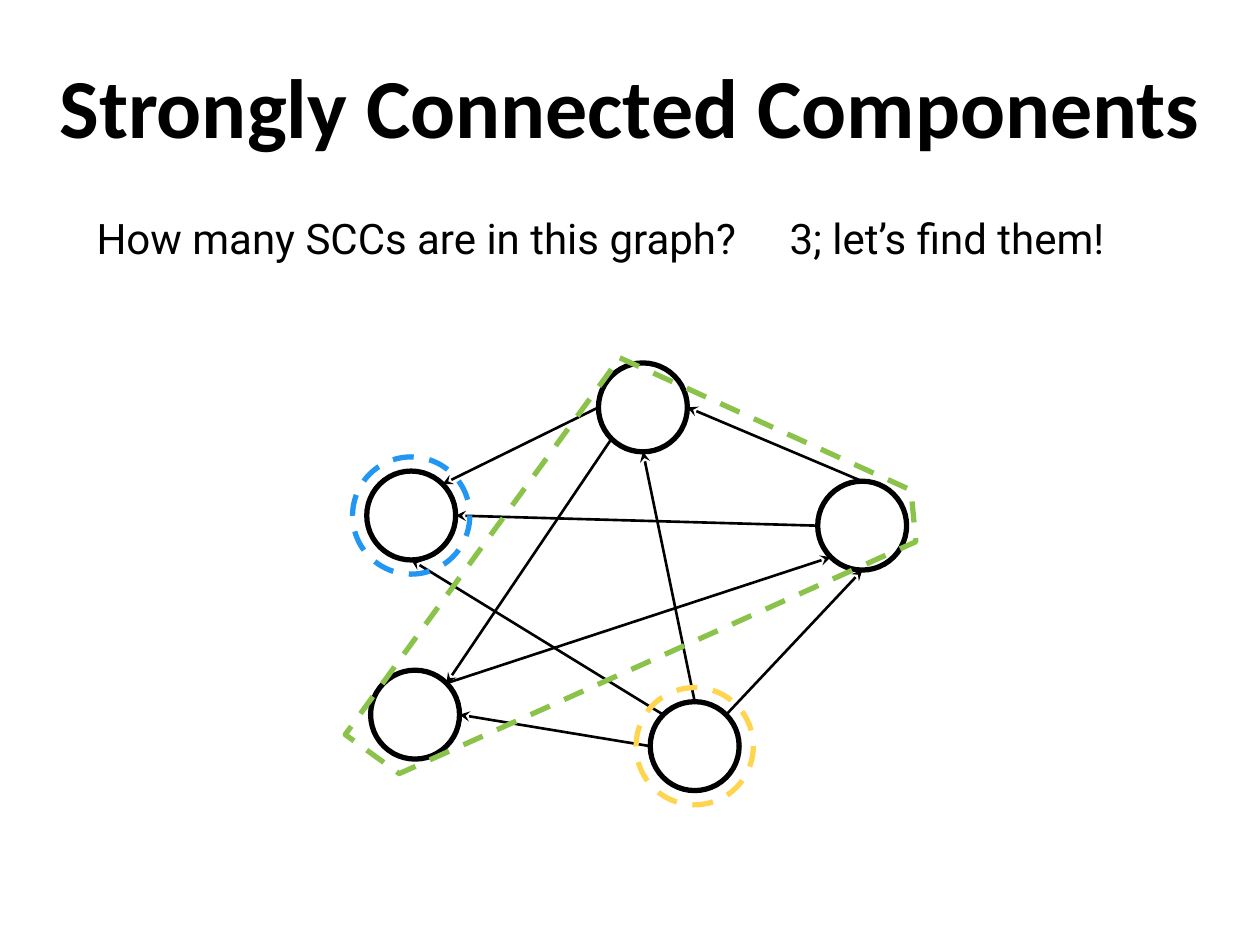
from math import cos, radians, sin

from pptx import Presentation
from pptx.dml.color import RGBColor
from pptx.enum.dml import MSO_LINE
from pptx.enum.shapes import MSO_CONNECTOR, MSO_SHAPE
from pptx.enum.text import MSO_ANCHOR, MSO_AUTO_SIZE, PP_ALIGN
from pptx.oxml.ns import qn
from pptx.util import Pt
from lxml import etree

OVAL = MSO_SHAPE.OVAL
LINE = MSO_CONNECTOR.STRAIGHT
DASH = MSO_LINE.DASH
TOP = MSO_ANCHOR.TOP
FIXED = MSO_AUTO_SIZE.NONE
LEFT, MID = PP_ALIGN.LEFT, PP_ALIGN.CENTER

HUES = {"ink": "000000", "paper": "FFFFFF", "green": "8BC34A",
        "blue": "2196F3", "gold": "FFD54F"}
NODE, RING = 25.4, 33.5  # radii

# Centres of the graph nodes
NODES = {"top": (367.4, 232.8), "right": (492.7, 300.4), "left": (235, 294.6),
         "low": (237.2, 408.4), "base": (397, 426.4)}

# Compass angles of the points where edges meet a node
SIDES = {"E": 0, "SW": 135, "S": 90, "W": 180, "NW": 225, "N": 270, "NE": 315}

# Directed edges: start node and side, end node and side
EDGES = [("right", "W", "left", "E"), ("base", "NW", "left", "S"),
         ("base", "NE", "right", "S"), ("base", "N", "top", "S"),
         ("base", "W", "low", "E"), ("top", "W", "left", "NE"),
         ("low", "NE", "right", "SW"), ("right", "N", "top", "E"),
         ("top", "SW", "low", "NE")]

# Outline of the three-node component
HULL = [(354.2, 204.5), (520.6, 280.1), (523.4, 309.6), (228.2, 442.1),
        (197.3, 419.8)]


def rim(node, side):
    x, y = NODES[node]
    turn = radians(SIDES[side])
    return Pt(x + NODE * cos(turn)), Pt(y + NODE * sin(turn))


class Sketch:
    def __init__(self, slide):
        self.slide = slide
        self.shapes = slide.shapes

    def hue(self, name):
        return RGBColor.from_string(HUES[name])

    def trace(self, item, hue, width, dash=None):
        item.line.color.rgb = self.hue(hue)
        item.line.width = Pt(width)
        if dash:
            item.line.dash_style = dash

    def text(self, index, box, words, font, size, align, bold=False, tab=None):
        holder = self.slide.placeholders[index]
        holder.left, holder.top, holder.width, holder.height = map(Pt, box)
        frame = holder.text_frame
        frame.word_wrap = True
        frame.auto_size = FIXED
        frame.vertical_anchor = TOP
        frame.margin_left = frame.margin_right = Pt(7.2)
        frame.margin_top = frame.margin_bottom = Pt(7.2)
        frame.text = words
        para = frame.paragraphs[0]
        props = para._p.get_or_add_pPr()
        props.set("marL", "0")
        props.set("indent", "0")
        etree.SubElement(props, qn("a:buNone"))
        if tab:
            tabs = etree.SubElement(props, qn("a:tabLst"))
            etree.SubElement(tabs, qn("a:tab"), pos=str(Pt(tab)), algn="l")
        para.alignment = align
        para.space_before = Pt(0)
        para.font.name = font
        para.font.size = Pt(size)
        para.font.bold = bold
        para.font.color.rgb = self.hue("ink")

    def disc(self, node, radius, hue, fill=None, dash=None):
        x, y = NODES[node]
        disc = self.shapes.add_shape(OVAL, Pt(x - radius), Pt(y - radius),
                                     Pt(2 * radius), Pt(2 * radius))
        disc.shadow.inherit = False
        if fill:
            disc.fill.solid()
            disc.fill.fore_color.rgb = self.hue(fill)
        else:
            disc.fill.background()
        self.trace(disc, hue, 3, dash)

    def edge(self, start, out, end, into):
        edge = self.shapes.add_connector(LINE, *rim(start, out),
                                         *rim(end, into))
        self.trace(edge, "ink", 1.5)
        etree.SubElement(edge.line._get_or_add_ln(), qn("a:tailEnd"),
                         type="stealth")
        etree.SubElement(edge._element.spPr, qn("a:effectLst"))

    def hull(self, points, hue):
        first, *rest = [(Pt(x), Pt(y)) for x, y in points]
        pen = self.shapes.build_freeform(*first)
        pen.add_line_segments(rest, close=True)
        hull = pen.convert_to_shape()
        hull.shadow.inherit = False
        hull.fill.background()
        self.trace(hull, hue, 3, DASH)


def main():
    deck = Presentation()
    deck.slide_width, deck.slide_height = Pt(720), Pt(540)
    sketch = Sketch(deck.slides.add_slide(deck.slide_layouts[1]))

    # Title and question
    sketch.text(0, (0, 24, 720, 90), "Strongly Connected Components",
                "Calibri", 48, MID, bold=True)
    sketch.text(1, (48, 114, 624, 426),
                "How many SCCs are in this graph?\t3; let’s find them!",
                "Roboto", 24, LEFT, tab=412.5)

    # Graph
    for edge in EDGES:
        sketch.edge(*edge)
    for node in NODES:
        sketch.disc(node, NODE, "ink", fill="paper")

    # Components
    sketch.hull(HULL, "green")
    sketch.disc("left", RING, "blue", dash=DASH)
    sketch.disc("base", RING, "gold", dash=DASH)

    deck.save("out.pptx")


if __name__ == "__main__":
    main()
